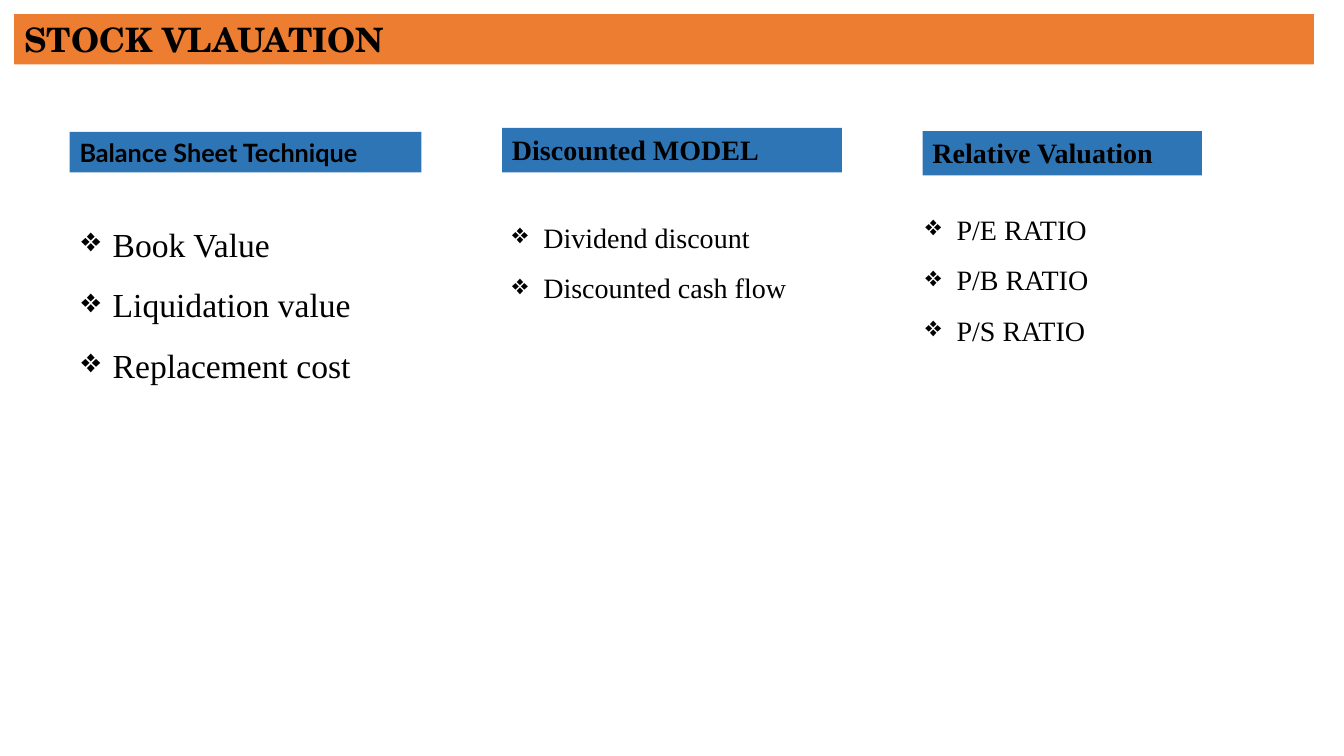
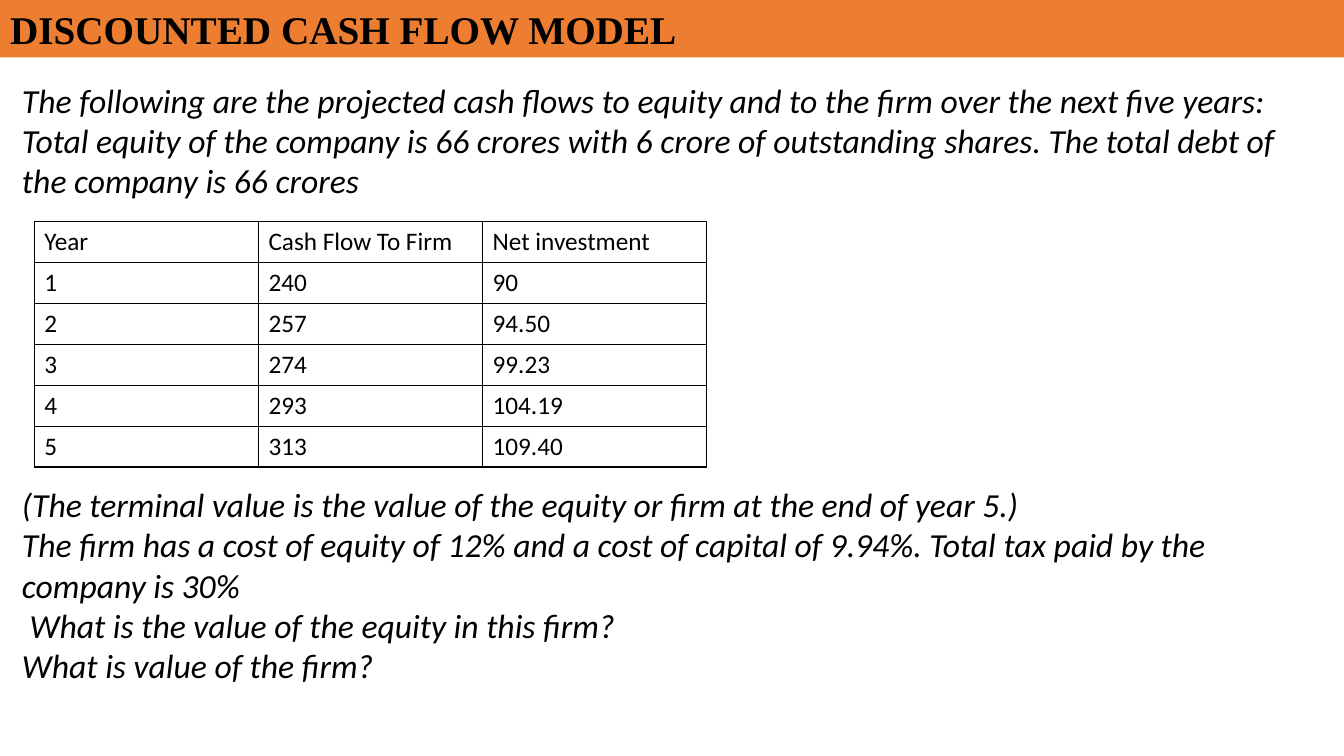
from dataclasses import dataclass

from lxml.etree import SubElement
from pptx import Presentation
from pptx.dml.color import RGBColor
from pptx.enum.shapes import MSO_SHAPE as Shape
from pptx.enum.text import MSO_ANCHOR as Anchor, MSO_AUTO_SIZE as Fit, PP_ALIGN as Align
from pptx.oxml import parse_xml
from pptx.oxml.ns import nsdecls, qn
from pptx.slide import Slide
from pptx.table import _Cell as Cell
from pptx.text.text import TextFrame
from pptx.util import Inches, Pt

ORANGE = RGBColor(0xED, 0x7D, 0x31)
BLUE = RGBColor(0x2E, 0x75, 0xB6)
BLACK = RGBColor(0, 0, 0)
SERIF, SANS = "Times New Roman", "Calibri"
HEAD, SCHOOL = "Lato", "TeX Gyre Schola"
INDENT = Inches(0.31)


@dataclass
class Box:
    """A rectangle in inches."""
    x: float
    y: float
    w: float
    h: float

    def size(self) -> tuple:
        """Give the four lengths."""
        return tuple(Inches(n) for n in (self.x, self.y, self.w, self.h))


@dataclass
class Method:
    """A headed list of valuation methods."""
    head: str
    band: Box
    items: list[str]
    area: Box
    font: str = SERIF
    head_size: int = 20
    size: int = 20


METHODS = [
    Method("Balance Sheet Technique", Box(0.69, 1.31, 3.49, 0.4),
           ["Book Value", "Liquidation value", "Replacement cost"],
           Box(0.71, 1.97, 3.58, 1.85), HEAD, 18, 24),
    Method("Discounted MODEL", Box(4.98, 1.27, 3.37, 0.44),
           ["Dividend discount", "Discounted cash flow"],
           Box(4.98, 1.97, 3.58, 1.05)),
    Method("Relative Valuation", Box(9.15, 1.3, 2.77, 0.44),
           ["P/E RATIO", "P/B RATIO", "P/S RATIO"],
           Box(9.08, 1.89, 3.58, 1.56)),
]

FLOWS = [
    ("Year", "Cash Flow To Firm", "Net investment"),
    ("1", "240", "90"),
    ("2", "257", "94.50"),
    ("3", "274", "99.23"),
    ("4", "293", "104.19"),
    ("5", "313", "109.40"),
]

INTRO = [
    "The following are the projected cash flows to equity and to the firm over the next five years:",
    "Total equity of the company is 66 crores with 6 crore of outstanding shares. "
    "The total debt of the company is 66 crores",
]
TASKS = [
    "(The terminal value is the value of the equity or firm at the end of year 5.)",
    "The firm has a cost of equity of 12% and a cost of capital of 9.94%. "
    "Total tax paid by the company is 30%",
    " What is the value of the equity in this firm?",
    "What is value of the firm?",
]


def write(frame: TextFrame, lines: list[str], *, font: str = SERIF, size: int = 20,
          bold: bool = False, italic: bool = False, bullet: str = "",
          spacing: float = 1.0, anchor: Anchor = Anchor.TOP) -> None:
    """Fill a text frame with formatted paragraphs."""
    frame.word_wrap = True
    frame.auto_size = Fit.NONE
    frame.vertical_anchor = anchor
    for i, line in enumerate(lines):
        para = frame.add_paragraph() if i else frame.paragraphs[0]
        para.alignment = Align.LEFT
        para.line_spacing = spacing
        if bullet:
            props = para._p.get_or_add_pPr()
            props.set("marL", str(INDENT))
            props.set("indent", str(-INDENT))
            SubElement(props, qn("a:buChar")).set("char", bullet)
        run = para.add_run()
        run.text = line
        face = run.font
        face.name, face.size = font, Pt(size)
        face.bold, face.italic = bold, italic
        face.color.rgb = BLACK


def add_title(deck: Presentation, text: str, box: Box, font: str, size: int) -> Slide:
    """Add a slide with an orange title band."""
    slide = deck.slides.add_slide(deck.slide_layouts[5])
    title = slide.shapes.title
    title.left, title.top, title.width, title.height = box.size()
    title.fill.solid()
    title.fill.fore_color.rgb = ORANGE
    write(title.text_frame, [text], font=font, size=size, bold=True, anchor=Anchor.MIDDLE)
    return slide


def add_text(slide: Slide, lines: list[str], box: Box, **style) -> None:
    """Add a text box."""
    write(slide.shapes.add_textbox(*box.size()).text_frame, lines, **style)


def add_band(slide: Slide, text: str, box: Box, **style) -> None:
    """Add a blue heading band."""
    band = slide.shapes.add_shape(Shape.RECTANGLE, *box.size())
    band.shadow.inherit = False
    band.fill.solid()
    band.fill.fore_color.rgb = BLUE
    band.line.fill.background()
    write(band.text_frame, [text], bold=True, **style)


def rule(cell: Cell) -> None:
    """Draw thin black borders round a cell."""
    props = cell._tc.get_or_add_tcPr()
    for i, side in enumerate(("lnL", "lnR", "lnT", "lnB")):
        props.insert(i, parse_xml(
            f'<a:{side} {nsdecls("a")} w="{Pt(1)}"><a:solidFill>'
            f'<a:srgbClr val="{BLACK}"/></a:solidFill></a:{side}>'))


def add_grid(slide: Slide, rows: list[tuple], box: Box) -> None:
    """Add a plain ruled table."""
    grid = slide.shapes.add_table(len(rows), len(rows[0]), *box.size()).table
    grid.first_row = grid.horz_banding = False
    for r, row in enumerate(rows):
        for c, text in enumerate(row):
            cell = grid.cell(r, c)
            cell.fill.background()
            rule(cell)
            write(cell.text_frame, [text], font=SANS, size=18)


def main() -> None:
    """Build and save the deck."""
    deck = Presentation()
    deck.slide_width, deck.slide_height = Inches(13.33), Inches(7.5)

    slide = add_title(deck, "STOCK VLAUATION", Box(0.14, 0.14, 12.89, 0.5), SCHOOL, 24)
    for item in METHODS:
        add_band(slide, item.head, item.band, font=item.font, size=item.head_size)
        add_text(slide, item.items, item.area, size=item.size, bullet="❖", spacing=1.5)

    slide = add_title(deck, "DISCOUNTED CASH FLOW MODEL", Box(0, 0, 13.33, 0.57), SERIF, 28)
    for lines, top, high in ((INTRO, 0.74, 1.3), (TASKS, 4.75, 2.15)):
        add_text(slide, lines, Box(0.12, top, 12.73, high), font=SANS, size=24, italic=True)
    add_grid(slide, FLOWS, Box(0.34, 2.2, 6.67, 2.43))

    deck.save("out.pptx")


if __name__ == "__main__":
    main()
